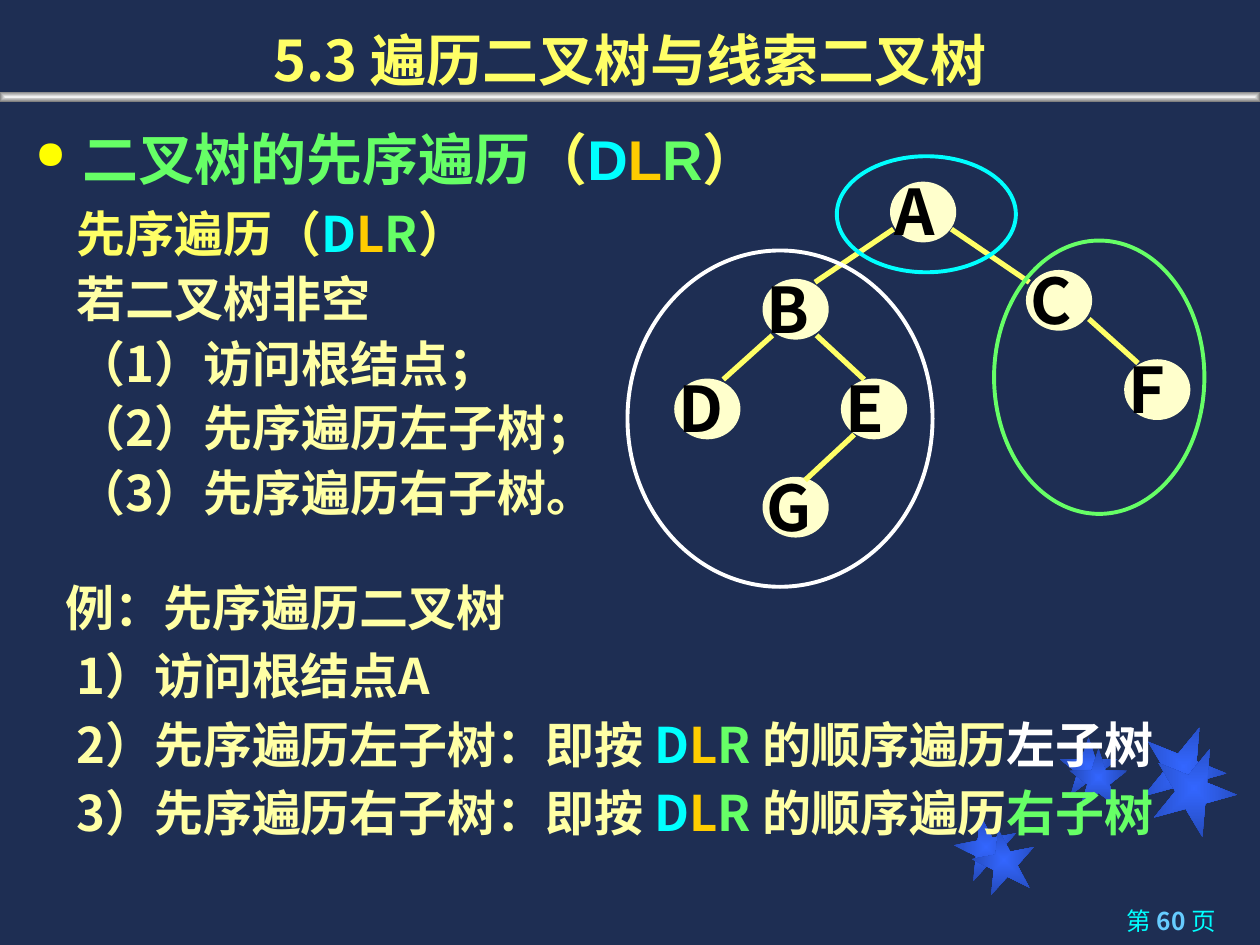
from dataclasses import dataclass

from lxml.etree import SubElement
from pptx import Presentation
from pptx.dml.color import RGBColor
from pptx.enum.shapes import MSO_CONNECTOR, MSO_SHAPE
from pptx.enum.text import MSO_ANCHOR, PP_ALIGN
from pptx.oxml.ns import qn
from pptx.util import Cm, Pt


@dataclass(frozen=True)
class Theme:
    font: str = "Noto Sans CJK SC"
    heading_font: str = "Arial"
    background: str = "1E2E53"
    yellow: str = "FFFF66"
    cream: str = "FFFFA5"
    cyan: str = "00FFFF"
    orange: str = "FFCC00"
    green: str = "66FF66"
    white: str = "FFFFFF"
    black: str = "000000"
    page_blue: str = "66CCFF"
    bullet: str = "FFFF00"
    node: str = "FFFFCC"
    star: tuple = ("3366FF", "2449B6")
    bar: tuple = ("F2F2F2", "808080")
    title_size: int = 32
    body_size: int = 28
    node_size: int = 36
    page_size: int = 14


THEME = Theme()
DLR = [("D", THEME.cyan), ("L", THEME.orange), ("R", THEME.green)]


def cream(text):
    return [(text, THEME.cream)]


def example_step(start, subtree, colour):
    return [*cream(start + "：即按 "), *DLR, *cream(" 的顺序遍历"), (subtree, colour)]


TITLE = [("5.3 遍历二叉树与线索二叉树", THEME.yellow)]
HEADING = [("二叉树的先序遍历", THEME.green), ("（", THEME.yellow), *DLR, ("）", THEME.yellow)]
DEFINITION = [
    [("先序遍历（", THEME.yellow), *DLR, ("）", THEME.yellow)],
    cream("若二叉树非空"),
    cream("（1）访问根结点；"),
    cream("（2）先序遍历左子树；"),
    cream("（3）先序遍历右子树。"),
]
EXAMPLE = [
    cream("例：先序遍历二叉树"),
    cream("1）访问根结点A"),
    example_step("2）先序遍历左子树", "左子树", THEME.white),
    example_step("3）先序遍历右子树", "右子树", THEME.green),
]
PAGE = [("第 ", THEME.cyan), ("60", THEME.page_blue), (" 页", THEME.cyan)]

# All places are in centimetres.
NODES = {
    "A": (17.96, 3.68), "F": (22.68, 7.26), "G": (15.39, 9.63), "E": (16.97, 7.65),
    "D": (13.61, 7.65), "C": (20.7, 5.46), "B": (15.39, 5.64),
}
NODE_SIZE = (1.3, 1.19)
LABEL_SHIFT = (-0.34, -0.32)
LABEL_SIZE = (2.36, 1.78)
EDGES = [
    (18.01, 4.62, 16.43, 5.69), (19.18, 4.62, 20.75, 5.69), (16.46, 6.76, 17.42, 7.65),
    (17.22, 8.76, 16.23, 9.68), (15.57, 6.76, 14.58, 7.65), (21.95, 6.43, 22.94, 7.32),
]
RINGS = [
    ((12.65, 5.05, 6.15, 6.78), THEME.white),
    ((20.04, 4.85, 4.24, 5.51), THEME.green),
    ((16.87, 3.15, 3.61, 2.34), THEME.cyan),
]
STARS = [  # left, top, size, rotation
    (19.25, 16.43, 1.27, 349), (21.36, 14.86, 1.17, 0), (23.01, 14.61, 1.7, 22),
    (19.61, 16.71, 1.27, 349), (21.56, 15.09, 1.17, 0), (23.22, 15.04, 1.7, 22),
]


def rgb(value):
    return RGBColor.from_string(value)


def lengths(values):
    return [Cm(value) for value in values]


def add_shape(slide, kind, box, fill=None, line=None, width=1):
    shape = slide.shapes.add_shape(kind, *lengths(box))
    shape.shadow.inherit = False
    if fill:
        shape.fill.solid()
        shape.fill.fore_color.rgb = rgb(fill)
    else:
        shape.fill.background()
    if line:
        shape.line.color.rgb = rgb(line)
        shape.line.width = Pt(width)
    else:
        shape.line.fill.background()
    return shape


def fill_from_centre(shape, colours):
    """Give the shape a gradient that follows its outline, from the middle outwards."""
    shape.fill.gradient()
    for stop, colour in zip(shape.fill.gradient_stops, colours):
        stop.color.rgb = rgb(colour)
    gradient = shape._element.spPr.find(qn("a:gradFill"))
    gradient.remove(gradient.find(qn("a:lin")))
    centre = SubElement(gradient, qn("a:path"), {"path": "shape"})
    SubElement(centre, qn("a:fillToRect"), dict.fromkeys("ltrb", "50000"))


def write_paragraph(paragraph, runs, size, bold=True, font=THEME.font):
    for text, colour in runs:
        run = paragraph.add_run()
        run.text = text
        run.font.color.rgb = rgb(colour)
    paragraph.font.size = Pt(size)
    paragraph.font.bold = bold
    paragraph.font.name = font
    defaults = paragraph._p.pPr.find(qn("a:defRPr"))
    SubElement(defaults, qn("a:ea"), {"typeface": THEME.font})


def indent(paragraph, left, first=0):
    properties = paragraph._p.get_or_add_pPr()
    properties.set("marL", str(Cm(left)))
    properties.set("indent", str(Cm(first)))
    return properties


def add_text(slide, box, lines, size, wrap=True, **style):
    frame = slide.shapes.add_textbox(*lengths(box)).text_frame
    frame.word_wrap = wrap
    for index, runs in enumerate(lines):
        paragraph = frame.add_paragraph() if index else frame.paragraphs[0]
        write_paragraph(paragraph, runs, size, **style)
    return frame


def add_background(slide):
    slide.background.fill.solid()
    slide.background.fill.fore_color.rgb = rgb(THEME.background)
    for left, top, size, rotation in STARS:
        star = add_shape(slide, MSO_SHAPE.STAR_5_POINT, (left, top, size, size))
        star.rotation = rotation
        fill_from_centre(star, THEME.star)
    bar = add_shape(slide, MSO_SHAPE.RECTANGLE, (0, 1.85, 25.4, 0.2))
    fill_from_centre(bar, THEME.bar)


def add_title(slide):
    title = slide.shapes.title
    title.left, title.top, title.width, title.height = lengths((0, 0, 25.4, 1.9))
    frame = title.text_frame
    frame.vertical_anchor = MSO_ANCHOR.BOTTOM
    frame.margin_bottom = Cm(0.03)
    paragraph = frame.paragraphs[0]
    paragraph.alignment = PP_ALIGN.CENTER
    write_paragraph(paragraph, TITLE, THEME.title_size)


def add_heading(slide):
    frame = add_text(slide, (0.46, 2.32, 23.52, 2.13), [], THEME.title_size)
    paragraph = frame.paragraphs[0]
    paragraph.line_spacing = Pt(40)
    properties = indent(paragraph, 0.96, -0.96)
    colour = SubElement(properties, qn("a:buClr"))
    SubElement(colour, qn("a:srgbClr"), {"val": THEME.bullet})
    SubElement(properties, qn("a:buSzPct"), {"val": "70000"})
    SubElement(properties, qn("a:buChar"), {"char": "●"})
    write_paragraph(paragraph, HEADING, THEME.title_size, font=THEME.heading_font)


def add_explanations(slide):
    definition = add_text(slide, (1.3, 3.86, 12.04, 6.78), DEFINITION, THEME.body_size)
    for paragraph in definition.paragraphs:
        paragraph.line_spacing = Pt(37)
    example = add_text(slide, (1.07, 11.51, 24.05, 5.72), EXAMPLE, THEME.body_size)
    for index, paragraph in enumerate(example.paragraphs):
        paragraph.line_spacing = Pt(33.6)
        if index:
            paragraph.space_before = Pt(5.6)
            indent(paragraph, 0.22)


def add_tree(slide):
    for name, (left, top) in NODES.items():
        add_shape(slide, MSO_SHAPE.OVAL, (left, top, *NODE_SIZE), THEME.node, THEME.node)
        box = (left + LABEL_SHIFT[0], top + LABEL_SHIFT[1], *LABEL_SIZE)
        label = add_text(slide, box, [[(name, THEME.black)]], THEME.node_size)
        label.margin_left = Cm(0.41)
        label.vertical_anchor = MSO_ANCHOR.MIDDLE
    for ends in EDGES:
        edge = slide.shapes.add_connector(MSO_CONNECTOR.STRAIGHT, *lengths(ends))
        edge.line.color.rgb = rgb(THEME.yellow)
        edge.line.width = Pt(3)
        SubElement(edge._element.spPr, qn("a:effectLst"))
    for box, colour in RINGS:
        add_shape(slide, MSO_SHAPE.OVAL, box, line=colour, width=2.25)


def add_page_number(slide):
    frame = add_text(slide, (18.08, 18.14, 6.68, 0.91), [PAGE], THEME.page_size, bold=False)
    paragraph = frame.paragraphs[0]
    paragraph.alignment = PP_ALIGN.RIGHT
    paragraph.runs[1].font.bold = True


def main():
    presentation = Presentation()
    presentation.slide_width, presentation.slide_height = Cm(25.4), Cm(19.05)
    slide = presentation.slides.add_slide(presentation.slide_layouts[5])
    for add_part in (add_background, add_title, add_heading, add_explanations,
                     add_tree, add_page_number):
        add_part(slide)
    presentation.save("out.pptx")


if __name__ == "__main__":
    main()
